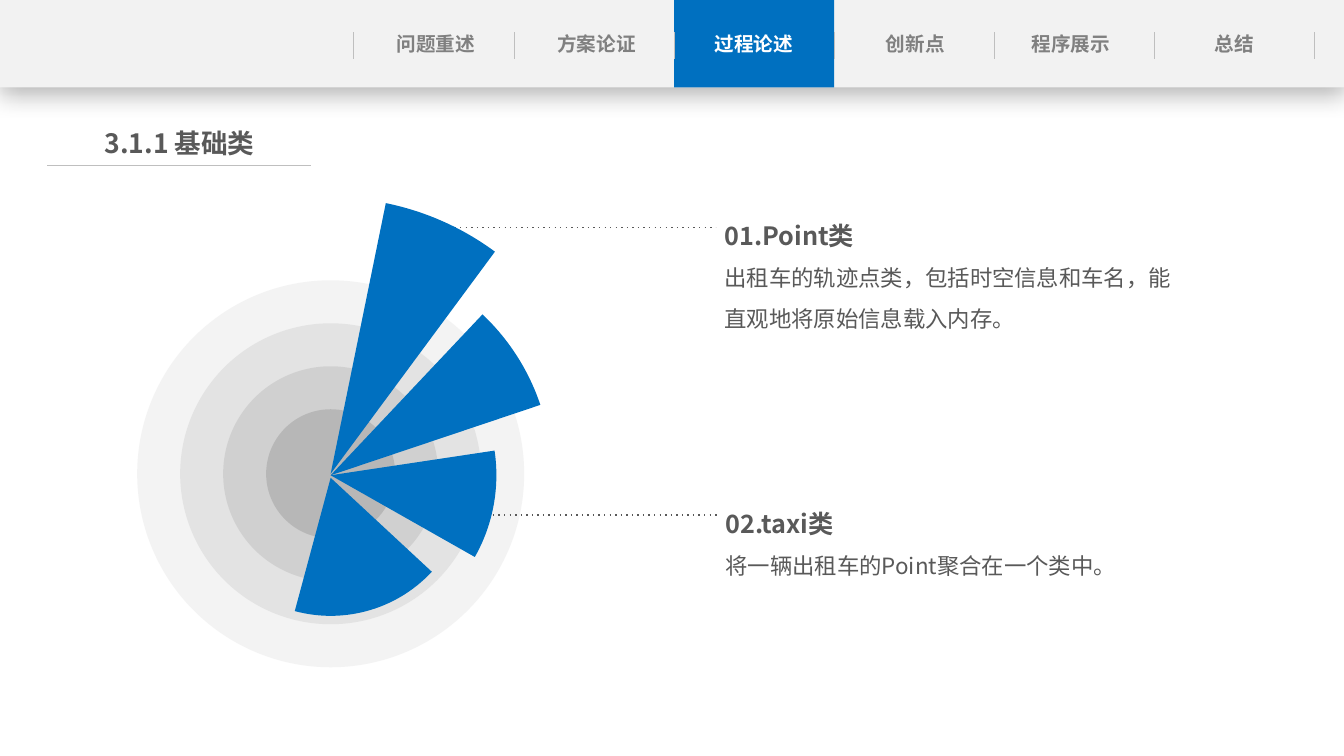
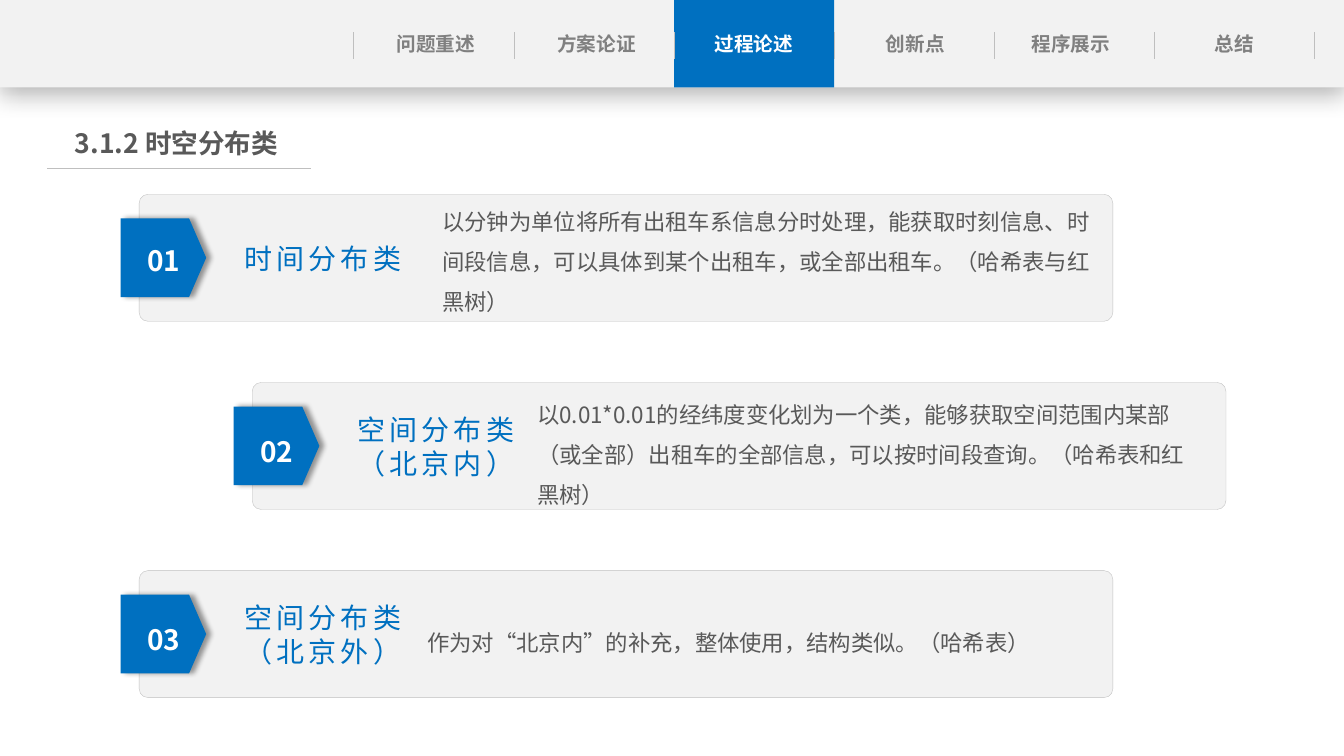
from pptx import Presentation
from pptx.dml.color import RGBColor
from pptx.enum.dml import MSO_LINE
from pptx.enum.shapes import MSO_CONNECTOR, MSO_SHAPE
from pptx.enum.text import MSO_ANCHOR, PP_ALIGN
from pptx.oxml import parse_xml
from pptx.oxml.ns import nsdecls, qn
from pptx.util import Pt

FONT = "Noto Sans CJK SC"
BLUE, PALE, RULE = "0070C0", "F2F2F2", "BFBFBF"
DARK, MUTED, WHITE = "595959", "808080", "FFFFFF"

SLIDE_WIDTH, SLIDE_HEIGHT = 960, 540
NAV_HEIGHT, NAV_LEFT, NAV_STEP = 62.5, 252.7, 114.37
# Section names with the horizontal centre of each
SECTIONS = [("问题重述", 311.4), ("方案论证", 426.2), ("过程论述", 538.6),
            ("创新点", 653.8), ("程序展示", 765), ("总结", 881.6)]
CURRENT_SECTION = 2

CENTRE_X = 236.2
# Centre y, radius, start and end angle in degrees
SECTORS = [(338.4, 197.3, 281.52, 306.49), (339.5, 158, 313.35, 341.45),
           (339.5, 118.4, 351.45, 29.55), (341.3, 98.6, 42.89, 105.07)]
RING_COLOURS = ["D9D9D9", "BFBFBF", "A6A6A6", "808080"]

# Left and top of the text, start of the leader, its y, heading, description
CLASS_NOTES = [
    (510.5, 143.3, 324.7, 162.7, "01.Point类",
     "出租车的轨迹点类，包括时空信息和车名，能直观地将原始信息载入内存。"),
    (511.2, 348.5, 328.3, 367.9, "02.taxi类", "将一辆出租车的Point聚合在一个类中。"),
]

# Indent, heading, body left, body offset, number offset, body
DISTRIBUTIONS = [
    (0, ["时间分布类"], 308.9, -3.6, 31.7,
     "以分钟为单位将所有出租车系信息分时处理，能获取时刻信息、时间段信息，"
     "可以具体到某个出租车，或全部出租车。（哈希表与红黑树）"),
    (80.8, ["空间分布类", "（北京内）"], 376.6, 0, 33.8,
     "以0.01*0.01的经纬度变化划为一个类，能够获取空间范围内某部（或全部）"
     "出租车的全部信息，可以按时间段查询。（哈希表和红黑树）"),
    (0, ["空间分布类", "（北京外）"], 298.1, 28.8, 33.8,
     "作为对“北京内”的补充，整体使用，结构类似。（哈希表）"),
]


def rgb(colour):
    return RGBColor.from_string(colour)


def add_solid(slide, preset, left, top, width, height, colour, alpha=None):
    """Add a preset shape with a plain fill, no outline and no shadow."""
    shape = slide.shapes.add_shape(preset, Pt(left), Pt(top), Pt(width), Pt(height))
    shape.shadow.inherit = False
    shape.fill.solid()
    shape.fill.fore_color.rgb = rgb(colour)
    shape.line.fill.background()
    if alpha is not None:
        fill = shape.element.spPr.find(qn("a:solidFill")).find(qn("a:srgbClr"))
        fill.append(parse_xml(f'<a:alpha {nsdecls("a")} val="{alpha * 1000}"/>'))
    return shape


def cast_shadow(shape, alpha, blur, distance, angle):
    effects = shape.element.spPr.find(qn("a:effectLst"))
    effects.append(parse_xml(
        f'<a:outerShdw {nsdecls("a")} blurRad="{Pt(blur)}" dist="{Pt(distance)}" '
        f'dir="{angle * 60000}" algn="ctr" rotWithShape="0"><a:srgbClr val="000000">'
        f'<a:alpha val="{alpha * 1000}"/></a:srgbClr></a:outerShdw>'))


def add_line(slide, x1, y1, x2, y2, colour=RULE, width=0.5, dotted=False):
    line = slide.shapes.add_connector(
        MSO_CONNECTOR.STRAIGHT, Pt(x1), Pt(y1), Pt(x2), Pt(y2))
    line.line.color.rgb = rgb(colour)
    line.line.width = Pt(width)
    properties = line.element.spPr
    if dotted:
        line.line.dash_style = MSO_LINE.ROUND_DOT
        properties.find(".//" + qn("a:prstDash")).set("val", "dot")
    properties.append(parse_xml(f'<a:effectLst {nsdecls("a")}/>'))


def style_paragraph(paragraph, size, colour, bold=False, align=PP_ALIGN.LEFT,
                    spacing=1, tracking=0):
    paragraph.alignment = align
    paragraph.line_spacing = float(spacing)
    for run in paragraph.runs:
        font = run.font
        font.size, font.bold, font.name = Pt(size), bold, FONT
        font.color.rgb = rgb(colour)
        properties = run.font._element
        properties.append(parse_xml(f'<a:ea {nsdecls("a")} typeface="{FONT}"/>'))
        if tracking:
            properties.set("spc", str(tracking * 100))


def add_text(slide, left, top, width, height, lines, side_inset=7.2,
             anchor=MSO_ANCHOR.TOP, **style):
    """Add a text box with one paragraph per line, all in one style."""
    box = slide.shapes.add_textbox(Pt(left), Pt(top), Pt(width), Pt(height))
    frame = box.text_frame
    frame.word_wrap = True
    frame.vertical_anchor = anchor
    frame.margin_left = frame.margin_right = Pt(side_inset)
    frame.text = "\n".join(lines)
    for paragraph in frame.paragraphs:
        style_paragraph(paragraph, **style)
    return frame


def add_centred(slide, centre, top, width, height, text, **style):
    add_text(slide, centre - width / 2, top, width, height, [text], side_inset=0,
             align=PP_ALIGN.CENTER, bold=True, **style)


def add_navigation(slide):
    band = add_solid(slide, MSO_SHAPE.RECTANGLE, 0, 0, SLIDE_WIDTH, NAV_HEIGHT, PALE)
    cast_shadow(band, 29, 18, 4, 90)
    add_solid(slide, MSO_SHAPE.RECTANGLE, NAV_LEFT + CURRENT_SECTION * NAV_STEP, 0,
              NAV_STEP, NAV_HEIGHT, BLUE)
    for index, (section, centre) in enumerate(SECTIONS):
        colour = WHITE if index == CURRENT_SECTION else MUTED
        add_centred(slide, centre, 19.4, 106, 24.5, section, size=14, colour=colour)
    for index in range(len(SECTIONS) + 1):
        x = NAV_LEFT + index * NAV_STEP
        add_line(slide, x, 23, x, 42)


def add_section_slide(deck, title, title_centre, rule_y):
    slide = deck.slides.add_slide(deck.slide_layouts[6])
    add_navigation(slide)
    add_line(slide, 33.8, rule_y, 222.5, rule_y)
    add_centred(slide, title_centre, 87.1, 177, 30.5, title, size=19, colour=DARK)
    return slide


def add_disc(slide, preset, centre_y, radius, colour, alpha=None):
    return add_solid(slide, preset, CENTRE_X - radius, centre_y - radius,
                     2 * radius, 2 * radius, colour, alpha)


def add_sector(slide, centre_y, radius, start, end):
    sector = add_disc(slide, MSO_SHAPE.PIE, centre_y, radius, BLUE)
    # Angles are stored in 60000ths of a degree, adjustments in 100000ths
    sector.adjustments[0] = start * 0.6
    sector.adjustments[1] = end * 0.6


def add_class_note(slide, left, top, leader_x, leader_y, heading, description):
    add_line(slide, leader_x, leader_y, leader_x + 186.5, leader_y, DARK, 1, dotted=True)
    frame = add_text(slide, left, top, 345.6, 95, [heading, description],
                     size=16, colour=DARK, spacing=1.5)
    for run in frame.paragraphs[0].runs:
        run.font.size, run.font.bold = Pt(18), True


def add_distribution(slide, index, indent, heading, body_left, body_offset,
                     number_offset, body):
    top = 138.8 + index * 134.4
    card = add_solid(slide, MSO_SHAPE.ROUNDED_RECTANGLE, 99.4 + indent, top,
                     695.5, 90.7, PALE)
    card.adjustments[0] = 0.07
    card.line.color.rgb = rgb(RULE)
    card.line.width = Pt(0.25)
    tag = add_solid(slide, MSO_SHAPE.FLOWCHART_OFFPAGE_CONNECTOR, 88.6 + indent,
                    top + 14.7, 56.2, 61.2, BLUE)
    tag.rotation = 270
    cast_shadow(tag, 40, 4, 3, 0)
    add_text(slide, 152 + indent, top + 20.2, 157, 50.4, heading, size=20, colour=BLUE,
             anchor=MSO_ANCHOR.MIDDLE, align=PP_ALIGN.CENTER, tracking=3)
    add_text(slide, body_left, top + body_offset, 483, 91, [body], size=16,
             colour=DARK, spacing=1.5)
    add_text(slide, 90.7 + indent, top + number_offset, 52.6, 31.5, [f"{index + 1:02}"],
             size=20, colour=WHITE, bold=True, align=PP_ALIGN.CENTER)


def build_base_classes(deck):
    slide = add_section_slide(deck, "3.1.1 基础类", 128.2, 118.1)
    for index, colour in enumerate(RING_COLOURS):
        add_disc(slide, MSO_SHAPE.OVAL, 338.4, 138.2 - index * 30.7, colour, alpha=30)
    for note in CLASS_NOTES:
        add_class_note(slide, *note)
    for sector in SECTORS:
        add_sector(slide, *sector)


def build_distribution_classes(deck):
    slide = add_section_slide(deck, "3.1.2 时空分布类", 126, 120.2)
    for index, distribution in enumerate(DISTRIBUTIONS):
        add_distribution(slide, index, *distribution)


def main():
    deck = Presentation()
    deck.slide_width, deck.slide_height = Pt(SLIDE_WIDTH), Pt(SLIDE_HEIGHT)
    build_base_classes(deck)
    build_distribution_classes(deck)
    deck.save("out.pptx")


if __name__ == "__main__":
    main()
